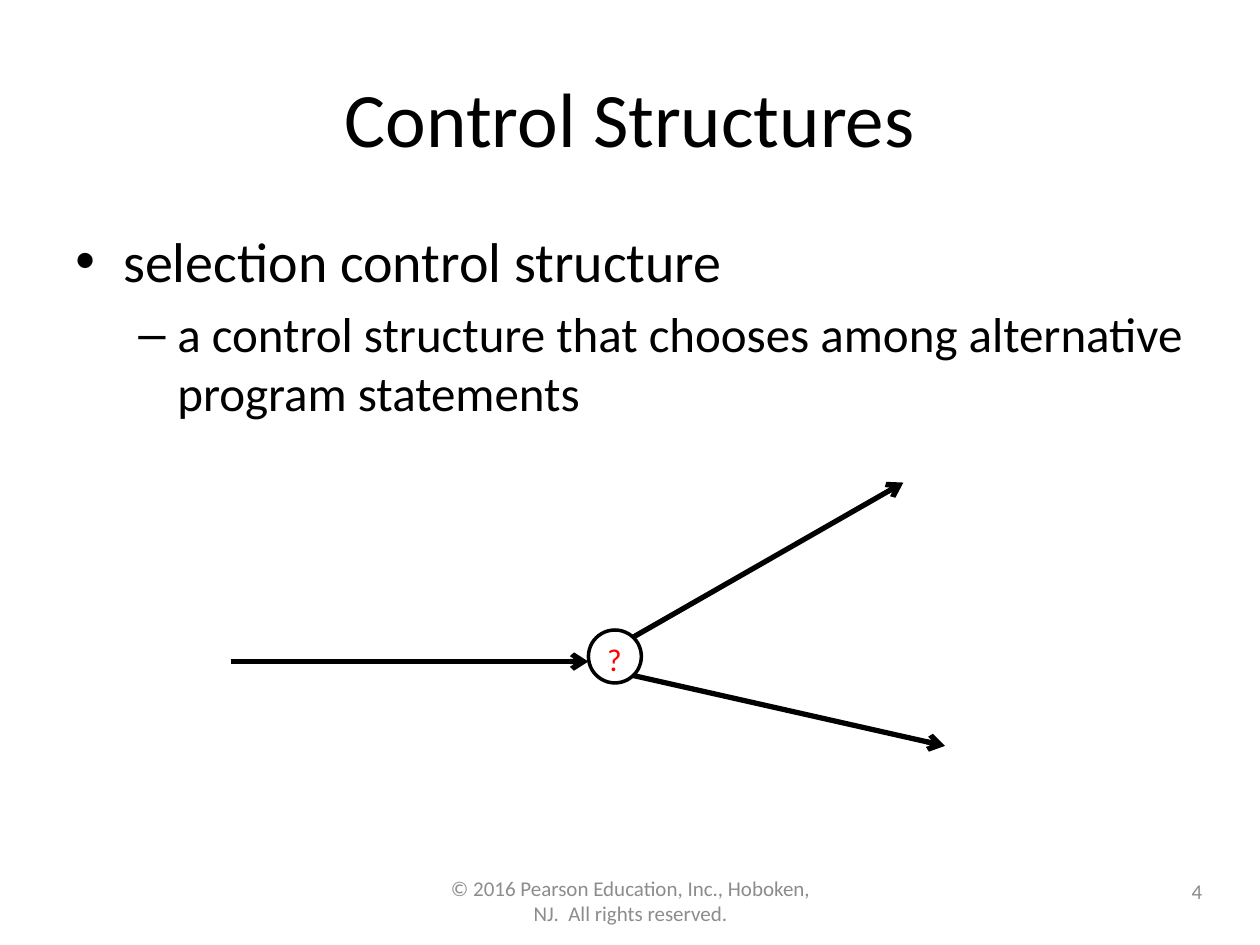
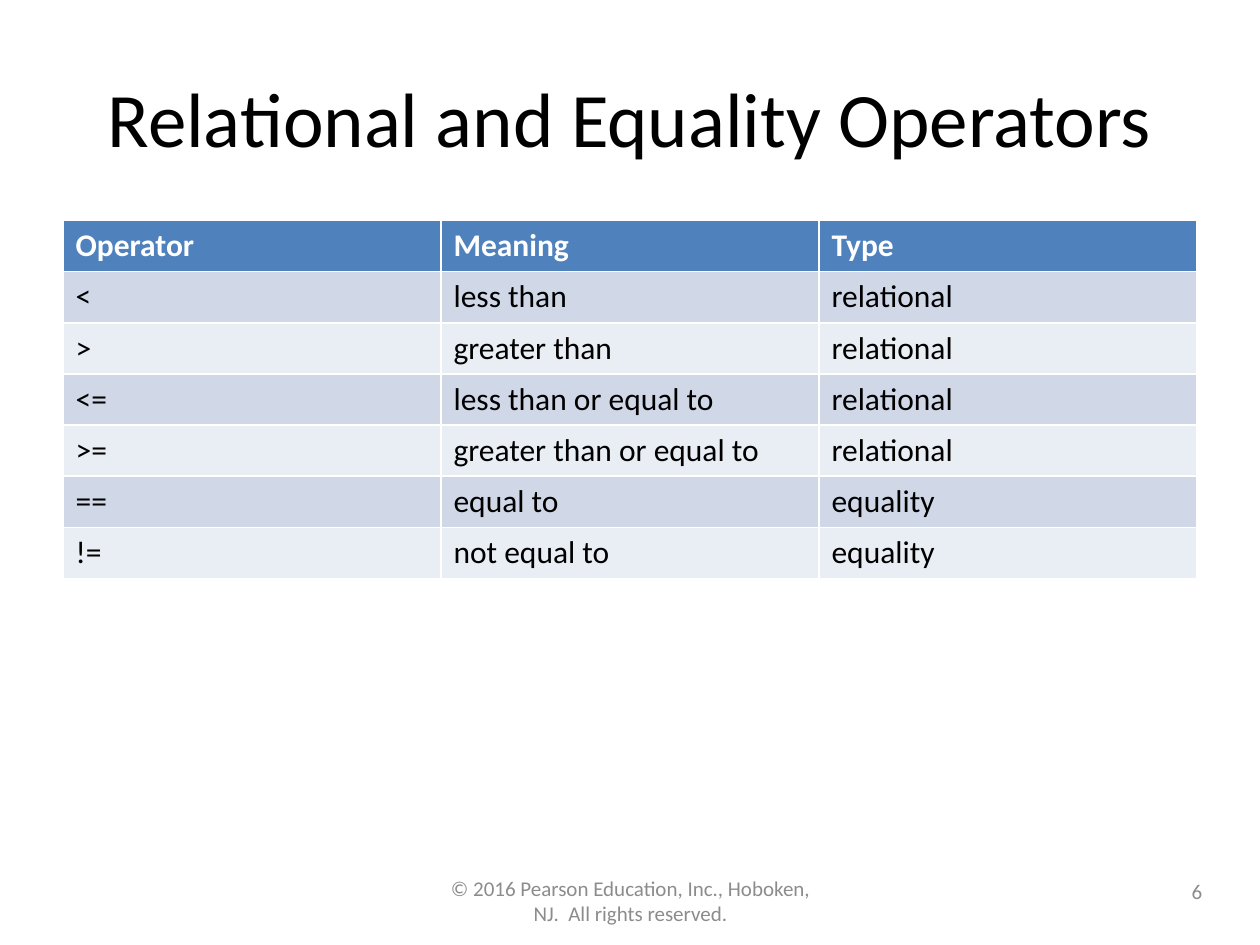
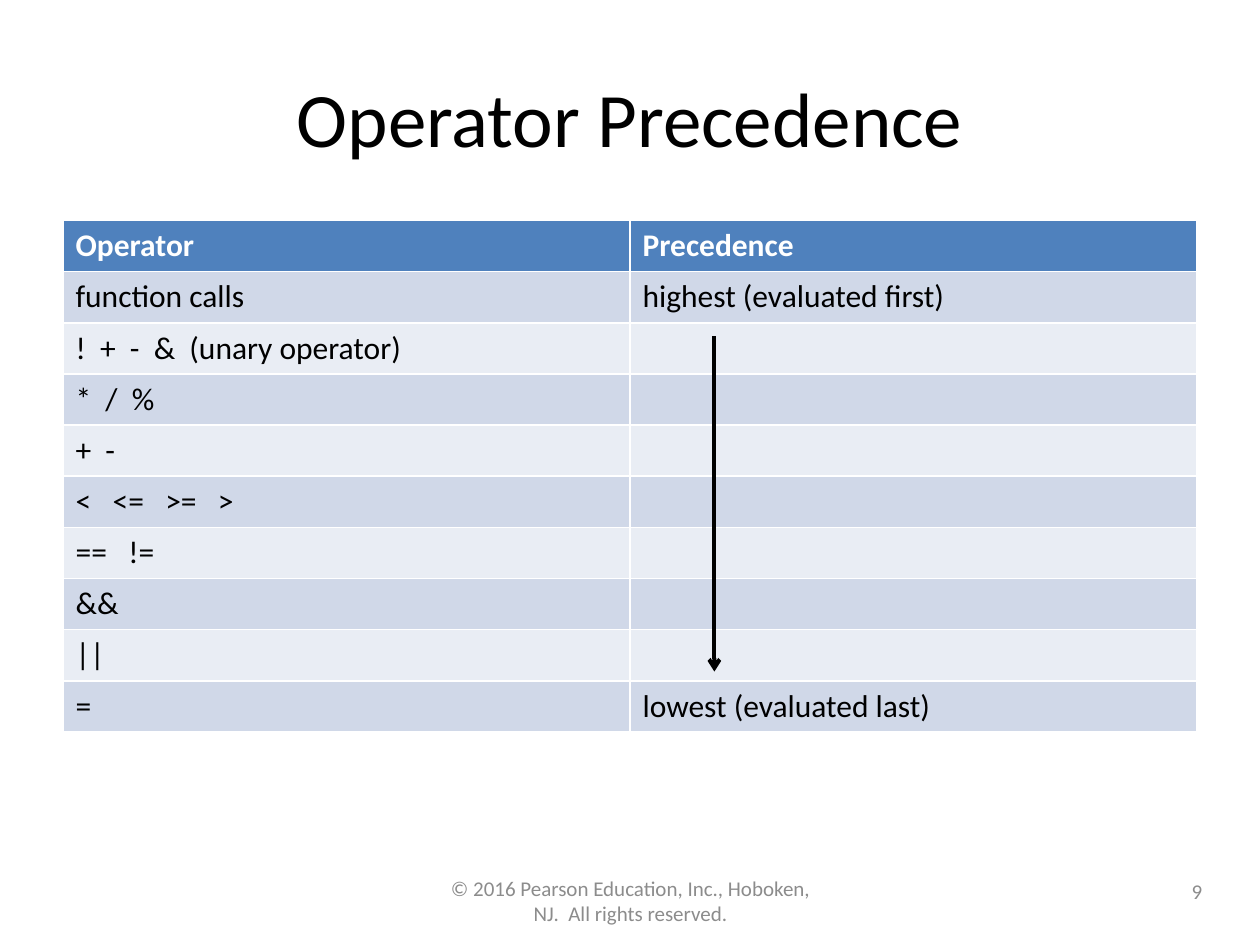
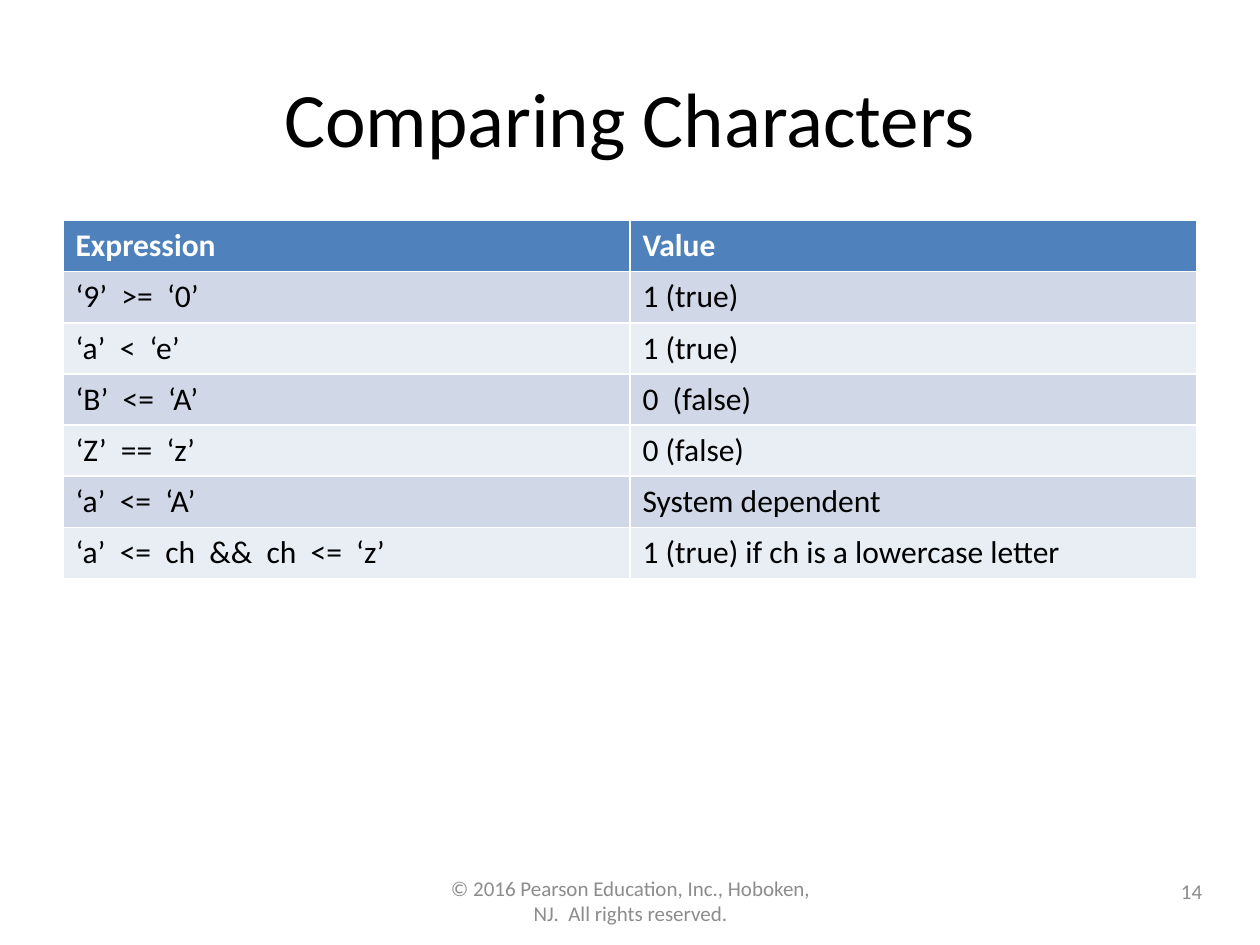
from lxml import etree
from pptx import Presentation
from pptx.dml.color import RGBColor
from pptx.enum.shapes import MSO_CONNECTOR, MSO_SHAPE
from pptx.enum.text import MSO_ANCHOR, PP_ALIGN
from pptx.oxml.ns import qn
from pptx.util import Inches, Pt

LEFT, CENTER, RIGHT = PP_ALIGN.LEFT, PP_ALIGN.CENTER, PP_ALIGN.RIGHT
TOP, MIDDLE = MSO_ANCHOR.TOP, MSO_ANCHOR.MIDDLE
STRAIGHT, OVAL = MSO_CONNECTOR.STRAIGHT, MSO_SHAPE.OVAL


class Theme:
    font = "Calibri"
    black = RGBColor.from_string("000000")
    white = RGBColor.from_string("FFFFFF")
    gray = RGBColor.from_string("8C8C8C")
    red = RGBColor.from_string("FF0000")
    head = RGBColor.from_string("4F81BD")
    bands = [RGBColor.from_string("D0D8E8"), RGBColor.from_string("E9EDF4")]
    title, base, small = 44, 18, 12
    levels = [32, 28]


TITLE_BOX = (0.5, 0.3, 9, 1.25)
BODY_BOX = (0.5, 1.75, 9, 2)
FOOT_BOX = (3.42, 6.95, 3.17, 0.4)
PAGE_BOX = (7.31, 6.87, 2.33, 0.4)
ROW = Inches(4.06) // 10

FOOT = "© 2016 Pearson Education, Inc., Hoboken, NJ.  All rights reserved."

# (level, text)
POINTS = [
    (0, "selection control structure"),
    (1, "a control structure that chooses among alternative program statements"),
]
# level: (bullet, left margin, hanging indent)
BULLETS = [("•", 0.38, -0.38), ("–", 0.81, -0.31)]

NODE_BOX = (4.67, 5, 0.42, 0.42)
MARK_BOX = (4.72, 5.03, 0.32, 0.4)
FLOWS = [
    ((1.83, 5.25), (4.67, 5.25)),
    ((5.02, 5.06), (7.17, 3.83)),
    ((5.02, 5.36), (7.5, 5.92)),
]

RELATIONS = [
    ("Operator", "Meaning", "Type"),
    ("<", "less than", "relational"),
    (">", "greater than", "relational"),
    ("<=", "less than or equal to", "relational"),
    (">=", "greater than or equal to", "relational"),
    ("==", "equal to", "equality"),
    ("!=", "not equal to", "equality"),
]
RANKS = [
    ("Operator", "Precedence"),
    ("function calls", "highest (evaluated first)"),
    ("!  +  -  &  (unary operator)", ""),
    ("*  /  %", ""),
    ("+  -", ""),
    ("<   <=   >=   >", ""),
    ("==   !=", ""),
    ("&&", ""),
    ("||", ""),
    ("=", "lowest (evaluated last)"),
]
CHARS = [
    ("Expression", "Value"),
    ("‘9’  >=  ‘0’", "1 (true)"),
    ("‘a’  <  ‘e’", "1 (true)"),
    ("‘B’  <=  ‘A’", "0  (false)"),
    ("‘Z’  ==  ‘z’", "0 (false)"),
    ("‘a’  <=  ‘A’", "System dependent"),
    ("‘a’  <=  ch  &&  ch  <=  ‘z’", "1 (true) if ch is a lowercase letter"),
]


def inches(box):
    return [Inches(v) for v in box]


def write(para, text, size, color=Theme.black, bold=False):
    font = para.font
    if text:
        run = para.add_run()
        run.text = text
        font = run.font
    font.name, font.size, font.bold = Theme.font, Pt(size), bold
    font.color.rgb = color


def add_text(slide, box, text, size, color, align=LEFT, anchor=TOP, wrap=True):
    frame = slide.shapes.add_textbox(*inches(box)).text_frame
    frame.word_wrap = wrap
    frame.vertical_anchor = anchor
    para = frame.paragraphs[0]
    para.alignment = align
    write(para, text, size, color)


def add_slide(deck, title, page):
    """Add a slide with the shared title, footer and page number."""
    slide = deck.slides.add_slide(deck.slide_layouts[5])
    head = slide.shapes.title
    head.left, head.top, head.width, head.height = inches(TITLE_BOX)
    head.text_frame.vertical_anchor = MIDDLE
    para = head.text_frame.paragraphs[0]
    para.alignment = CENTER
    write(para, title, Theme.title)
    add_text(slide, FOOT_BOX, FOOT, Theme.small, Theme.gray, CENTER, MIDDLE)
    add_text(slide, PAGE_BOX, str(page), Theme.small, Theme.gray, RIGHT, MIDDLE)
    return slide


def add_points(slide, points):
    frame = slide.shapes.add_textbox(*inches(BODY_BOX)).text_frame
    frame.word_wrap = True
    for i, (level, text) in enumerate(points):
        para = frame.add_paragraph() if i else frame.paragraphs[0]
        para.level = level
        char, margin, indent = BULLETS[level]
        props = para._p.get_or_add_pPr()
        props.set("marL", str(Inches(margin)))
        props.set("indent", str(Inches(indent)))
        etree.SubElement(props, qn("a:buFont")).set("typeface", "Arial")
        etree.SubElement(props, qn("a:buChar")).set("char", char)
        size = Theme.levels[level]
        if i:
            para.space_before = Pt(size * 0.2)
        write(para, text, size)


def add_arrow(slide, start, end, width):
    arrow = slide.shapes.add_connector(STRAIGHT, *inches(start + end))
    arrow.line.color.rgb = Theme.black
    arrow.line.width = Pt(width)
    line = arrow.line._get_or_add_ln()
    etree.SubElement(line, qn("a:tailEnd")).set("type", "arrow")
    etree.SubElement(arrow._element.spPr, qn("a:effectLst"))


def add_grid(slide, rows):
    """Add a full-width table with equal columns and banded rows."""
    left, top, width, _ = inches(BODY_BOX)
    count = len(rows[0])
    table = slide.shapes.add_table(
        len(rows), count, left, top, width, ROW * len(rows)).table
    for col in table.columns:
        col.width = width // count
    for r, texts in enumerate(rows):
        table.rows[r].height = ROW
        fill = Theme.bands[(r - 1) % 2] if r else Theme.head
        color = Theme.black if r else Theme.white
        for c, text in enumerate(texts):
            cell = table.cell(r, c)
            cell.fill.solid()
            cell.fill.fore_color.rgb = fill
            write(cell.text_frame.paragraphs[0], text, Theme.base, color, r == 0)


def add_choice(slide):
    """Draw one flow that splits in two at a question."""
    node = slide.shapes.add_shape(OVAL, *inches(NODE_BOX))
    node.shadow.inherit = False
    node.fill.background()
    node.line.color.rgb = Theme.black
    node.line.width = Pt(2)
    add_text(slide, MARK_BOX, "?", Theme.base, Theme.red, wrap=False)
    for start, end in FLOWS:
        add_arrow(slide, start, end, 3)


def main():
    deck = Presentation()
    deck.slide_width, deck.slide_height = Inches(10), Inches(7.5)

    slide = add_slide(deck, "Control Structures", 4)
    add_points(slide, POINTS)
    add_choice(slide)

    slide = add_slide(deck, "Relational and Equality Operators", 6)
    add_grid(slide, RELATIONS)

    slide = add_slide(deck, "Operator Precedence", 9)
    add_grid(slide, RANKS)
    add_arrow(slide, (5.67, 2.67), (5.67, 5.33), 2.25)

    slide = add_slide(deck, "Comparing Characters", 14)
    add_grid(slide, CHARS)

    deck.save("out.pptx")


if __name__ == "__main__":
    main()
